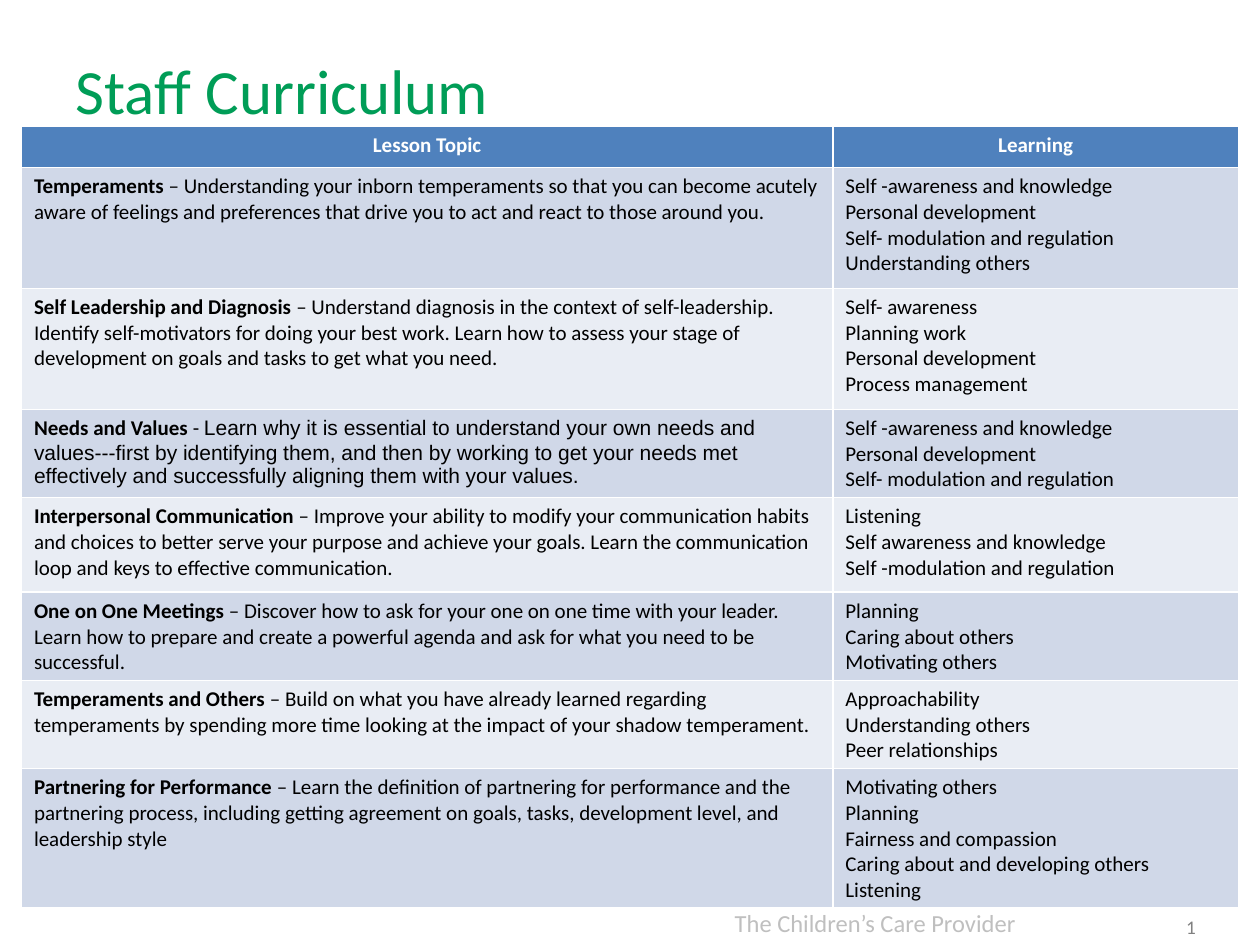
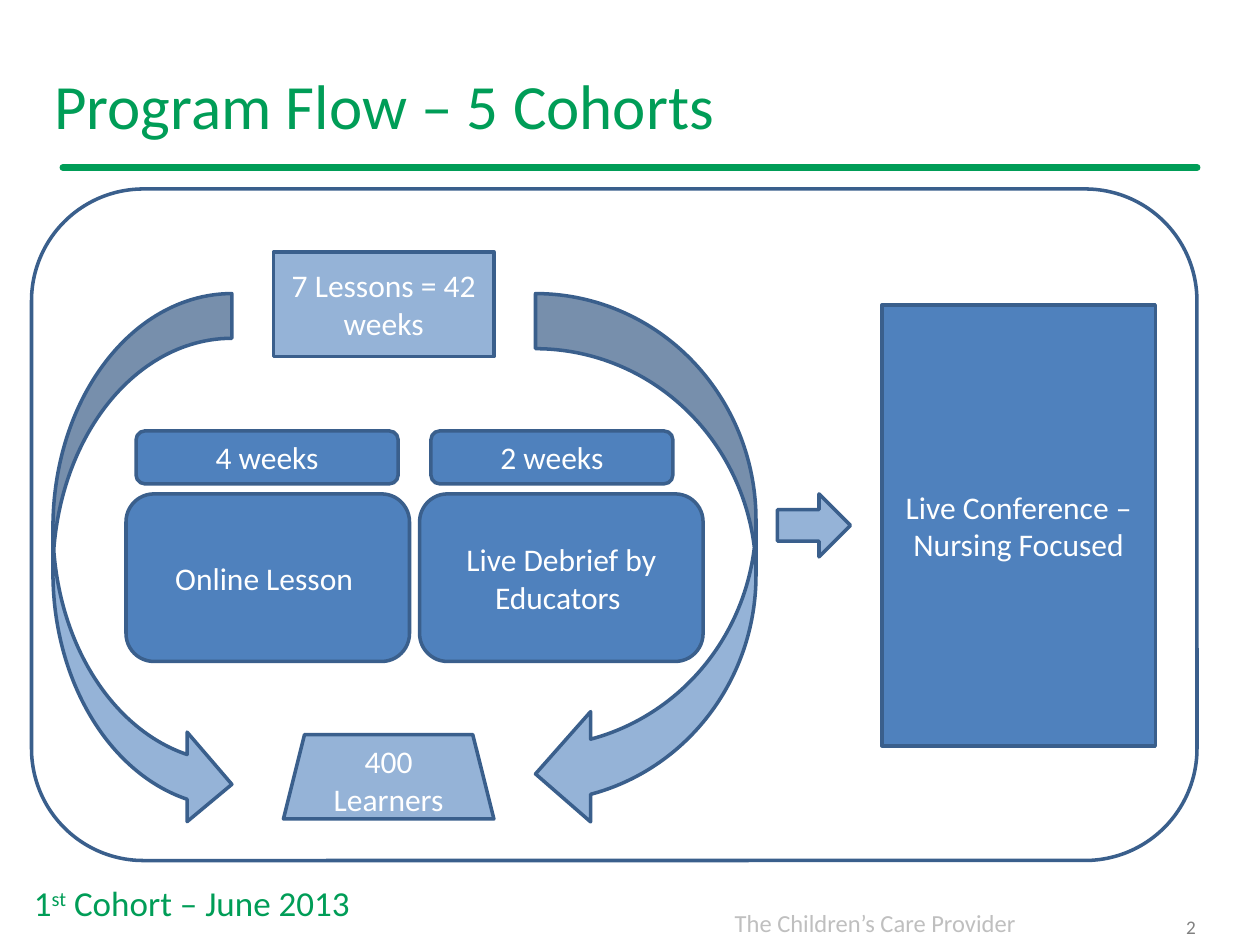
"""Build two slides: a curriculum table and a program flow diagram."""
from dataclasses import dataclass
from typing import NamedTuple, Optional

from lxml import etree
from pptx import Presentation
from pptx.dml.color import RGBColor
from pptx.enum.shapes import MSO_CONNECTOR, MSO_SHAPE
from pptx.enum.text import MSO_ANCHOR, PP_ALIGN
from pptx.oxml.ns import qn
from pptx.util import Inches, Pt

LEFT, CENTER, RIGHT = PP_ALIGN.LEFT, PP_ALIGN.CENTER, PP_ALIGN.RIGHT
TOP, MIDDLE = MSO_ANCHOR.TOP, MSO_ANCHOR.MIDDLE
STRAIGHT = MSO_CONNECTOR.STRAIGHT
RECT, ROUNDED = MSO_SHAPE.RECTANGLE, MSO_SHAPE.ROUNDED_RECTANGLE
SOFT_RECT = MSO_SHAPE.FLOWCHART_ALTERNATE_PROCESS
TRAPEZOID, RIGHT_ARROW = MSO_SHAPE.TRAPEZOID, MSO_SHAPE.RIGHT_ARROW
CURVED_RIGHT, CURVED_LEFT = MSO_SHAPE.CURVED_RIGHT_ARROW, MSO_SHAPE.CURVED_LEFT_ARROW


@dataclass(frozen=True)
class Theme:
    """Colours, fonts and type sizes."""
    green: str = "009D57"
    blue: str = "4F81BD"
    light_blue: str = "95B3D7"
    outline: str = "3A5F8C"
    bands: tuple = ("D0D8E8", "E9EDF4")
    white: str = "FFFFFF"
    black: str = "000000"
    footer_gray: str = "BFBFBF"
    number_gray: str = "808080"
    font: str = "Calibri"
    alternate_font: str = "Arial"
    title: int = 36
    cohort: int = 20
    diagram: int = 18
    footer: int = 14
    table: int = 12
    number: int = 11


class Box(NamedTuple):
    """Place and size in inches."""
    left: float
    top: float
    width: float
    height: float

    def emu(self) -> tuple:
        """Return the four lengths for python-pptx."""
        return tuple(Inches(length) for length in self)


class Lesson(NamedTuple):
    """One table row."""
    height: float
    topic: str
    dash: str
    description: str
    learning: tuple
    font: str = "Calibri"


class Step(NamedTuple):
    """One shape of the flow diagram."""
    preset: MSO_SHAPE
    box: Box
    fill: Optional[str]
    label: str = ""


THEME = Theme()
FOOTER = "The Children’s Care Provider"
RULE_LEFT, RULE_RIGHT, RULE_TOP = 0.5, 9.5, 1.33
FOOTER_BOX = Box(1.08, 7.16, 7.08, 0.34)
NUMBER_BOX = Box(9.17, 7.16, 0.42, 0.4)

HEADINGS = ("Lesson Topic", "Learning")
COLUMN_WIDTHS = (6.44, 3.22)
HEADING_HEIGHT = 0.33
LESSONS = (
    Lesson(0.96, "Temperaments ", "– ",
           "Understanding your inborn temperaments so that you can become acutely aware of "
           "feelings and preferences that drive you to act and react to those around you.",
           ("Self -awareness and knowledge", "Personal development",
            "Self- modulation and regulation", "Understanding others")),
    Lesson(0.96, "Self Leadership and Diagnosis ", "– ",
           "Understand diagnosis in the context of self-leadership. Identify self-motivators "
           "for doing your best work. Learn how to assess your stage of development on goals "
           "and tasks to get what you need.",
           ("Self- awareness", "Planning work", "Personal development", "Process management")),
    Lesson(0.66, "Needs and Values ", "- ",
           "Learn why it is essential to understand your own needs and values---first by "
           "identifying them, and then by working to get your needs met effectively and "
           "successfully aligning them with your values.",
           ("Self -awareness and knowledge", "Personal development",
            "Self- modulation and regulation"), THEME.alternate_font),
    Lesson(0.75, "Interpersonal Communication ", "– ",
           "Improve your ability to modify your communication habits and choices to better "
           "serve your purpose and achieve your goals. Learn the communication loop and keys "
           "to effective communication.",
           ("Listening", "Self awareness and knowledge", "Self -modulation and regulation")),
    Lesson(0.68, "One on One Meetings ", "– ",
           "Discover how to ask for your one on one time with your leader. Learn how to "
           "prepare and create a powerful agenda and ask for what you need to be successful.",
           ("Planning", "Caring about others", "Motivating others")),
    Lesson(0.65, "Temperaments and Others ", "– ",
           "Build on what you have already learned regarding temperaments by spending more "
           "time looking at the impact of your shadow temperament.",
           ("Approachability", "Understanding others", "Peer relationships")),
    Lesson(0.96, "Partnering for Performance ", "– ",
           "Learn the definition of partnering for performance and the partnering process, "
           "including getting agreement on goals, tasks, development level, and leadership style",
           ("Motivating others", "Planning", "Fairness and compassion",
            "Caring about and developing others", "Listening")),
)

STEPS = (
    Step(SOFT_RECT, Box(1, 3.92, 2.25, 1.33), THEME.blue, "Online Lesson "),
    Step(ROUNDED, Box(1.08, 3.42, 2.08, 0.42), THEME.blue, "4 weeks"),
    Step(ROUNDED, Box(3.42, 3.42, 1.92, 0.42), THEME.blue, "2 weeks"),
    Step(RECT, Box(7, 2.42, 2.17, 3.5), THEME.blue, "Live Conference – Nursing Focused"),
    Step(CURVED_RIGHT, Box(0.42, 2.33, 1.42, 4.25), THEME.light_blue),
    Step(CURVED_LEFT, Box(4.25, 2.33, 1.75, 4.25), THEME.light_blue),
    Step(RECT, Box(2.17, 2, 1.75, 0.83), THEME.light_blue, "7 Lessons = 42 weeks"),
    Step(RIGHT_ARROW, Box(6.17, 3.92, 0.58, 0.5), THEME.light_blue),
    Step(SOFT_RECT, Box(0.25, 1.5, 9.25, 5.33), None),
    Step(TRAPEZOID, Box(2.25, 5.83, 1.67, 0.67), THEME.light_blue, "400 Learners"),
    Step(SOFT_RECT, Box(3.33, 3.92, 2.25, 1.33), THEME.blue, "Live Debrief by Educators "),
)


def style_run(run, size: int, color: str, bold: bool = False, font: str = THEME.font) -> None:
    """Format one run."""
    run.font.name = font
    run.font.size = Pt(size)
    run.font.bold = bold
    run.font.color.rgb = RGBColor.from_string(color)


def write(frame, text: str, size: int, color: str, align=LEFT, bold: bool = False) -> None:
    """Fill a text frame and format its paragraphs."""
    frame.text = text
    for paragraph in frame.paragraphs:
        paragraph.alignment = align
        for run in paragraph.runs:
            style_run(run, size, color, bold)


def add_text(slide, box: Box, text: str, size: int, color: str, align=LEFT, anchor=MIDDLE):
    """Add a wrapped text box and return its first paragraph."""
    frame = slide.shapes.add_textbox(*box.emu()).text_frame
    frame.word_wrap = True
    frame.vertical_anchor = anchor
    write(frame, text, size, color, align)
    return frame.paragraphs[0]


def add_page(deck, title: str, title_box: Box):
    """Add a slide with title, rule, footer and slide number."""
    slide = deck.slides.add_slide(deck.slide_layouts.get_by_name("Title Only"))
    heading = slide.shapes.title
    heading.left, heading.top, heading.width, heading.height = title_box.emu()
    heading.text_frame.vertical_anchor = MIDDLE
    write(heading.text_frame, title, THEME.title, THEME.green)

    rule = slide.shapes.add_connector(STRAIGHT, Inches(RULE_LEFT), Inches(RULE_TOP),
                                      Inches(RULE_RIGHT), Inches(RULE_TOP))
    rule.line.color.rgb = RGBColor.from_string(THEME.green)
    rule.line.width = Pt(4)
    rule.line._get_or_add_ln().set("cap", "rnd")
    etree.SubElement(rule._element.spPr, qn("a:effectLst"))

    add_text(slide, FOOTER_BOX, FOOTER, THEME.footer, THEME.footer_gray, RIGHT, TOP)
    page = deck.slides.index(slide) + 2
    number = add_text(slide, NUMBER_BOX, str(page), THEME.number, THEME.number_gray, RIGHT)
    field = number.runs[0]._r
    field.tag = qn("a:fld")
    field.set("id", "{5A1C7E42-3B0D-4F6A-9C21-7D8E9F0A1B2C}")
    field.set("type", "slidenum")
    return slide


def fill_cell(cell, color: str) -> None:
    """Give a table cell a solid fill."""
    cell.fill.solid()
    cell.fill.fore_color.rgb = RGBColor.from_string(color)


def write_topic(frame, lesson: Lesson) -> None:
    """Write a bold topic followed by its description."""
    paragraph = frame.paragraphs[0]
    parts = ((lesson.topic, True, THEME.font), (lesson.dash, False, THEME.font),
             (lesson.description, False, lesson.font))
    for text, bold, font in parts:
        run = paragraph.add_run()
        run.text = text
        style_run(run, THEME.table, THEME.black, bold, font)


def add_curriculum(slide) -> None:
    """Add the table of lessons and learning."""
    heights = [HEADING_HEIGHT, *(lesson.height for lesson in LESSONS)]
    box = Box(0.17, 1, sum(COLUMN_WIDTHS), sum(heights))
    table = slide.shapes.add_table(len(heights), len(HEADINGS), *box.emu()).table
    for column, width in zip(table.columns, COLUMN_WIDTHS):
        column.width = Inches(width)
    for row, height in zip(table.rows, heights):
        row.height = Inches(height)
    for cell, heading in zip(table.rows[0].cells, HEADINGS):
        fill_cell(cell, THEME.blue)
        write(cell.text_frame, heading, THEME.table, THEME.white, CENTER, bold=True)
    for index, lesson in enumerate(LESSONS):
        topic, learning = table.rows[index + 1].cells
        for cell in (topic, learning):
            fill_cell(cell, THEME.bands[index % 2])
        write_topic(topic.text_frame, lesson)
        write(learning.text_frame, "\n".join(lesson.learning), THEME.table, THEME.black)


def add_step(slide, step: Step) -> None:
    """Add one outlined shape with its label."""
    shape = slide.shapes.add_shape(step.preset, *step.box.emu())
    shape.shadow.inherit = False
    shape.line.color.rgb = RGBColor.from_string(THEME.outline)
    shape.line.width = Pt(2)
    if step.fill:
        shape.fill.solid()
        shape.fill.fore_color.rgb = RGBColor.from_string(step.fill)
    else:
        shape.fill.background()
    if step.label:
        shape.text_frame.vertical_anchor = MIDDLE
        write(shape.text_frame, step.label, THEME.diagram, THEME.white, CENTER)


def add_cohort_date(slide) -> None:
    """Add the start of the first cohort with a raised ordinal."""
    cohort = add_text(slide, Box(0.17, 6.83, 7.08, 0.67), "1", THEME.cohort, THEME.green)
    ordinal, date = cohort.add_run(), cohort.add_run()
    ordinal.text, date.text = "st", " Cohort – June 2013"
    for run in (ordinal, date):
        style_run(run, THEME.cohort, THEME.green)
    ordinal.font._element.set("baseline", "30000")


def main() -> None:
    """Build and save the deck."""
    deck = Presentation()
    deck.slide_width, deck.slide_height = Inches(10), Inches(7.5)

    add_curriculum(add_page(deck, "Staff Curriculum", Box(0.5, 0.17, 9, 1.08)))

    flow = add_page(deck, "Program Flow – 5 Cohorts", Box(0.33, 0.33, 7.08, 1))
    for step in STEPS:
        add_step(flow, step)
    add_cohort_date(flow)

    deck.save("out.pptx")


if __name__ == "__main__":
    main()
